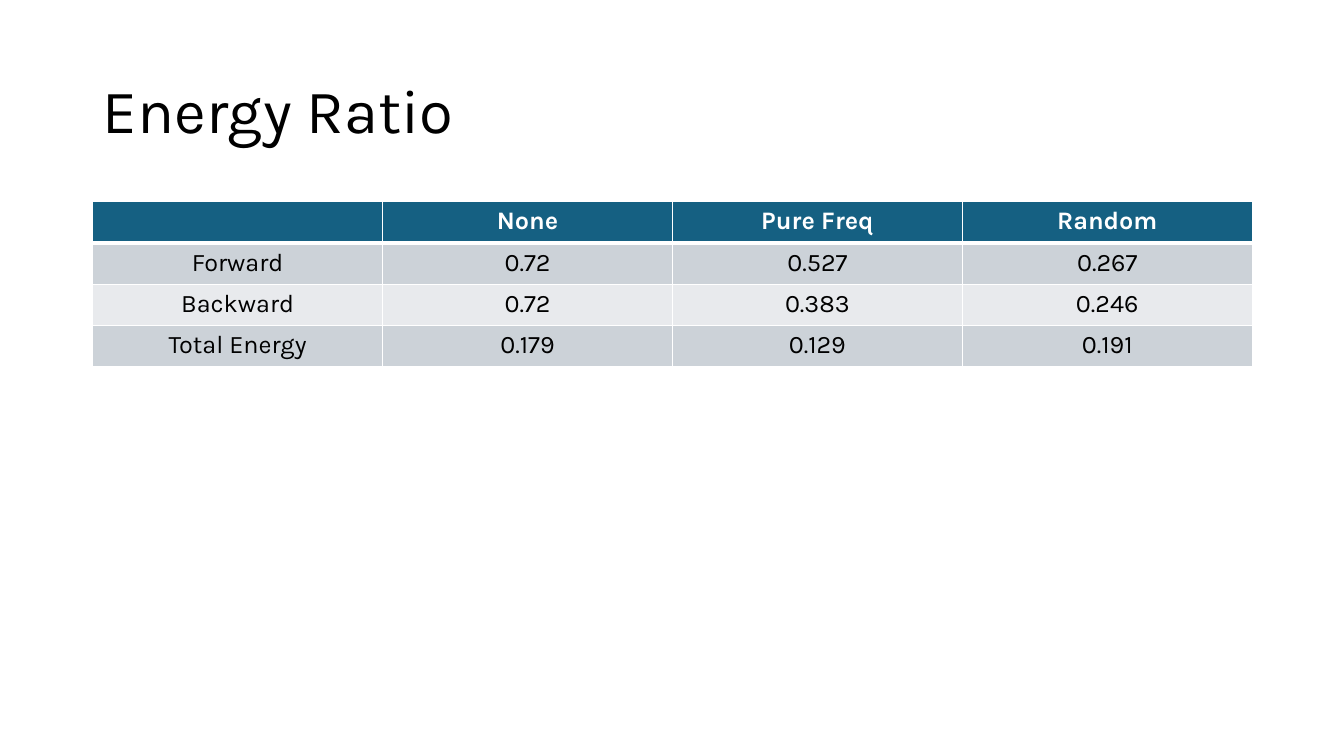
from lxml import etree
from pptx import Presentation
from pptx import util as u
from pptx.dml.color import RGBColor
from pptx.enum import text
from pptx.oxml.ns import qn

COLORS = {"header": "156082", "odd": "CCD2D8", "even": "E8EAED",
          "white": "FFFFFF", "black": "000000"}
ROWS = [
    ["", "None", "Pure Freq", "Random"],
    ["Forward", "0.72", "0.527", "0.267"],
    ["Backward", "0.72", "0.383", "0.246"],
    ["Total Energy", "0.179", "0.129", "0.191"],
]
LEFT, WIDTH = u.Inches(0.92), u.Inches(11.5)
ROW_HEIGHT = u.Inches(0.41)


def set_font(font, color, **formats):
    font.name = "Karla"
    font.color.rgb = RGBColor.from_string(COLORS[color])
    for name, value in formats.items():
        setattr(font, name, value)


def add_border(cell, side, points):
    ln = etree.SubElement(cell._tc.get_or_add_tcPr(), qn(f"a:ln{side}"),
                          w=str(u.Pt(points)))
    fill = etree.SubElement(ln, qn("a:solidFill"))
    etree.SubElement(fill, qn("a:srgbClr"), val=COLORS["white"])


prs = Presentation()
prs.slide_width, prs.slide_height = u.Inches(13.33), u.Inches(7.5)
s = prs.slides.add_slide(prs.slide_layouts[5])

# Title
title = s.shapes.title
box = {"left": LEFT, "top": u.Inches(0.4), "width": WIDTH, "height": u.Inches(1.45)}
for name, value in box.items():
    setattr(title, name, value)
tf = title.text_frame
tf.text = "Energy Ratio"
tf.vertical_anchor = text.MSO_ANCHOR.MIDDLE
p = tf.paragraphs[0]
p.alignment = text.PP_ALIGN.LEFT
p.line_spacing = 0.9
set_font(p.runs[0].font, "black", size=u.Pt(44))

# Energy table
table = s.shapes.add_table(len(ROWS), len(ROWS[0]), LEFT, u.Inches(2),
                           WIDTH, ROW_HEIGHT * len(ROWS)).table
for i, row in enumerate(ROWS):
    table.rows[i].height = ROW_HEIGHT
    header = i == 0
    shade = "header" if header else "odd" if i % 2 else "even"
    # A thicker rule parts the header from the values
    borders = {"L": 1, "R": 1, "T": 3 if i == 1 else 1, "B": 3 if header else 1}
    for j, value in enumerate(row):
        cell = table.cell(i, j)
        for side, points in borders.items():
            add_border(cell, side, points)
        cell.fill.solid()
        cell.fill.fore_color.rgb = RGBColor.from_string(COLORS[shade])
        p = cell.text_frame.paragraphs[0]
        p.alignment = text.PP_ALIGN.CENTER
        if value:
            r = p.add_run()
            r.text = value
            set_font(r.font, "white" if header else "black",
                     size=u.Pt(18), bold=header)

prs.save("out.pptx")
